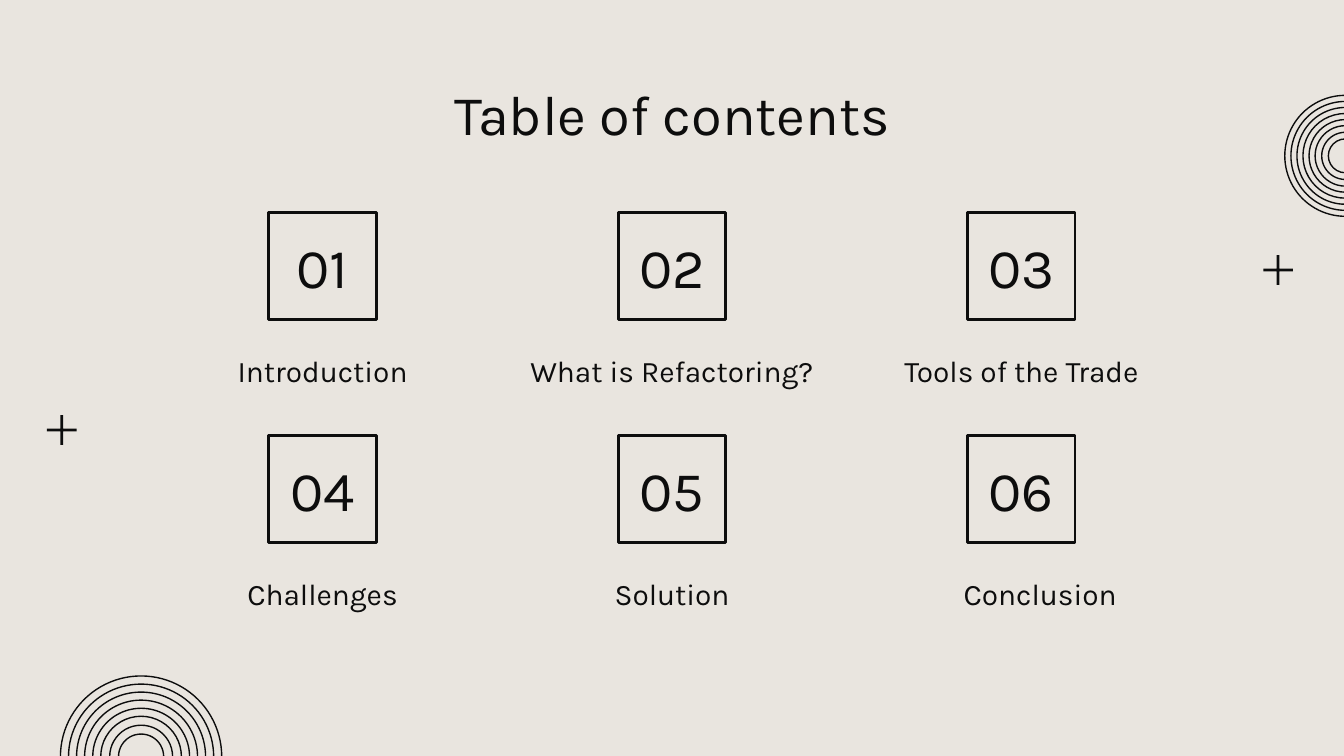
from dataclasses import dataclass

from pptx import Presentation
from pptx import util as u
from pptx.dml import color
from pptx.enum import shapes, text


@dataclass(frozen=True)
class Theme:
    """Colours, font and sizes of the deck."""
    paper: color.RGBColor = color.RGBColor.from_string("E9E5DF")
    ink: color.RGBColor = color.RGBColor.from_string("0D0D0D")
    font: str = "Karla"
    heading: float = 30
    label: float = 16
    thin: float = 0.75
    frame: float = 1.5


THEME = Theme()
RING_RATIOS = (1, 0.9, 0.8, 0.7, 0.6, 0.5, 0.39, 0.28)
SECTIONS = (
    ("Introduction", 2.15, 0),
    ("What is Refactoring?", 2.6, 0),
    ("Tools of the Trade", 2.15, 0),
    ("Challenges", 2.15, 0),
    ("Solution", 2.15, 0),
    ("Conclusion", 2.15, 0.14),
)


def write(sp, content, size, anchor):
    """Put one centred line of themed text in a shape."""
    tf = sp.text_frame
    tf.word_wrap = True
    tf.vertical_anchor = anchor
    tf.margin_left = tf.margin_right = tf.margin_top = tf.margin_bottom = u.Inches(0.1)
    p = tf.paragraphs[0]
    p.text = content
    p.alignment = text.PP_ALIGN.CENTER
    p.font.name = THEME.font
    p.font.size = u.Pt(size)
    p.font.color.rgb = THEME.ink


def add_text(s, x, y, w, h, content, size, anchor):
    """Add a text box with one centred line."""
    sp = s.shapes.add_textbox(u.Inches(x), u.Inches(y), u.Inches(w), u.Inches(h))
    write(sp, content, size, anchor)


def add_square(parent, kind, x, y, side):
    """Add a shadowless preset shape in a square box."""
    sp = parent.shapes.add_shape(kind, u.Inches(x), u.Inches(y), u.Inches(side), u.Inches(side))
    sp.shadow.inherit = False
    return sp


def add_outline(parent, kind, x, y, side, width):
    """Add an unfilled shape with an ink outline."""
    sp = add_square(parent, kind, x, y, side)
    sp.fill.background()
    sp.line.color.rgb = THEME.ink
    sp.line.width = u.Pt(width)
    return sp


def add_rings(s, x, y, side):
    """Draw a group of concentric circles in a square box."""
    group = s.shapes.add_group_shape()
    for ratio in RING_RATIOS:
        inset = side * (1 - ratio) / 2
        add_outline(group, shapes.MSO_SHAPE.OVAL, x + inset, y + inset, side * ratio, THEME.thin)


def add_plus(s, x, y, side):
    """Draw a thin plus sign in a square box."""
    sp = add_square(s, shapes.MSO_SHAPE.MATH_PLUS, x, y, side)
    sp.adjustments[0] = 0.07
    sp.fill.solid()
    sp.fill.fore_color.rgb = THEME.ink
    sp.line.fill.background()


def add_section(s, x, y, side, number, label, label_width, shift):
    """Draw a numbered square with its label centred underneath."""
    sp = add_outline(s, shapes.MSO_SHAPE.RECTANGLE, x, y, side, THEME.frame)
    write(sp, f"{number:02d}", THEME.heading, text.MSO_ANCHOR.MIDDLE)
    left = x + (side - label_width) / 2 + shift
    add_text(s, left, y + side + 0.08, label_width, 0.53, label, THEME.label, text.MSO_ANCHOR.BOTTOM)


def add_contents(s, x, y, col_step, row_step):
    """Lay the sections out in three columns."""
    for i, (label, width, shift) in enumerate(SECTIONS):
        row, col = divmod(i, 3)
        add_section(s, x + col * col_step, y + row * row_step, 0.8, i + 1, label, width, shift)


def main():
    """Build and save the contents slide."""
    prs = Presentation()
    prs.slide_width = u.Inches(10)
    prs.slide_height = prs.slide_width * 9 // 16
    s = prs.slides.add_slide(prs.slide_layouts[6])
    s.background.fill.solid()
    s.background.fill.fore_color.rgb = THEME.paper
    add_rings(s, 0.45, 5.03, 1.2)
    add_rings(s, 9.56, 0.71, 0.9)
    add_plus(s, 9.36, 1.86, 0.3)
    add_plus(s, 0.31, 3.05, 0.3)
    add_text(s, 0.79, 0.49, 8.43, 0.63, "Table of contents", THEME.heading, text.MSO_ANCHOR.TOP)
    add_contents(s, 2, 1.58, 2.6, 1.66)
    prs.save("out.pptx")


if __name__ == "__main__":
    main()
